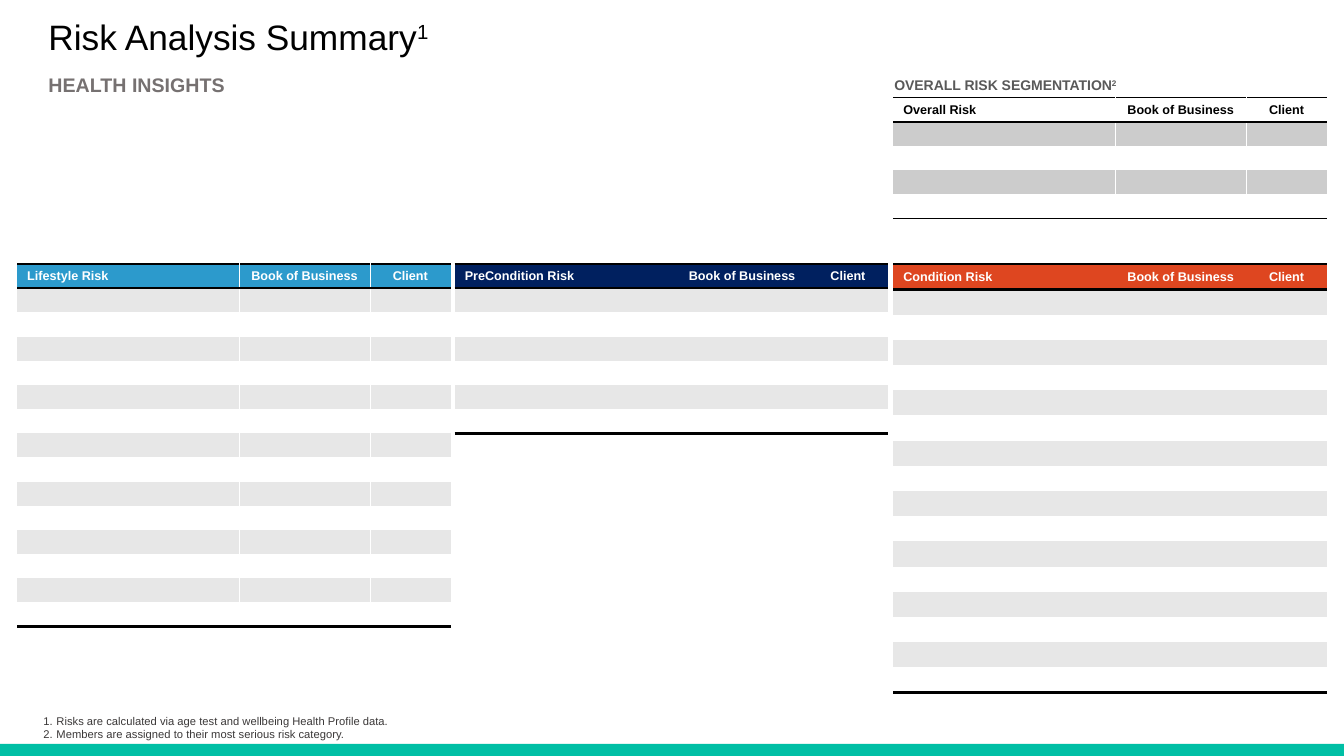
from dataclasses import dataclass
from typing import Any, Optional

from lxml import etree
from pptx import Presentation
from pptx.dml.color import RGBColor
from pptx.enum import shapes, text
from pptx.oxml.ns import qn
from pptx.util import Inches, Pt

COLS = (2.2, 1.3, 0.8)
HEADS = ("Book of Business", "Client")
PLAIN = "{2D5ABB26-0587-4C30-8999-92F81FD0307C}"
NOTES = (
    "Risks are calculated via age test and wellbeing Health Profile data.",
    "Members are assigned to their most serious risk category.",
)


@dataclass
class Grid:
    name: str
    left: float
    top: float
    rows: int
    step: float
    head: str
    ink: str = "FFFFFF"
    band: str = "E7E7E7"
    base: Optional[str] = "FFFFFF"
    rule: float = 2
    split: bool = False


GRIDS = (
    Grid("Lifestyle Risk", 0.17, 2.62, 15, 0.24, "2C9ACC", split=True),
    Grid("PreCondition Risk", 4.51, 2.62, 7, 0.24, "00205F"),
    Grid("Condition Risk", 8.86, 2.62, 17, 0.25, "DE4620"),
    Grid("Overall Risk", 8.86, 0.97, 5, 0.24, "FFFFFF", ink="000000",
         band="CCCCCC", base=None, rule=1, split=True),
)


def paint(fill: Any, color: Optional[str]) -> None:
    if color is None:
        fill.background()
    else:
        fill.solid()
        fill.fore_color.rgb = RGBColor.from_string(color)


def style(par: Any, size: float, color: str, bold: bool = False) -> None:
    for run in par.runs:
        run.font.name = "Arial"
        run.font.size = Pt(size)
        run.font.bold = bold
        run.font.color.rgb = RGBColor.from_string(color)


def place(shape: Any, left: float, top: float, width: float, height: float) -> None:
    shape.left, shape.top = Inches(left), Inches(top)
    shape.width, shape.height = Inches(width), Inches(height)


def raise_mark(par: Any, mark: str) -> None:
    """Add a superscript run."""
    run = par.add_run()
    run.text = mark
    run.font._element.set("baseline", "30000")


def edge(cell: Any, side: str, color: str, width: float) -> None:
    props = cell._tc.get_or_add_tcPr()
    line = etree.SubElement(props, qn(f"a:ln{side}"), w=str(Pt(width)))
    fill = etree.SubElement(line, qn("a:solidFill"))
    etree.SubElement(fill, qn("a:srgbClr"), val=color)


def draw_cell(cell: Any, grid: Grid, row: int, col: int) -> None:
    if grid.split and col > 0:
        edge(cell, "L", "FFFFFF", 0.5)
    if grid.split and col < len(COLS) - 1:
        edge(cell, "R", "FFFFFF", 0.5)
    if row == 0:
        edge(cell, "T", "000000", grid.rule)
    if row in (0, grid.rows - 1):
        edge(cell, "B", "000000", grid.rule)
    paint(cell.fill, grid.head if row == 0 else grid.band if row % 2 else grid.base)
    cell.margin_top = cell.margin_bottom = Inches(0.04)
    cell.vertical_anchor = text.MSO_ANCHOR.MIDDLE
    par = cell.text_frame.paragraphs[0]
    if row == 0:
        par.text = (grid.name, *HEADS)[col]
        par.alignment = text.PP_ALIGN.CENTER if col else text.PP_ALIGN.LEFT
        style(par, 9, grid.ink, True)
    else:
        etree.SubElement(par._p, qn("a:endParaRPr"), sz="900")


def draw_grid(slide: Any, grid: Grid) -> None:
    frame = slide.shapes.add_table(
        grid.rows, len(COLS), Inches(grid.left), Inches(grid.top),
        Inches(sum(COLS)), Inches(grid.rows * grid.step))
    table = frame.table
    table.horz_banding = table.first_row = False
    table._tbl.tblPr.find(qn("a:tableStyleId")).text = PLAIN
    for col, width in enumerate(COLS):
        table.columns[col].width = Inches(width)
    for row in range(grid.rows):
        table.rows[row].height = Inches(grid.step)
        for col in range(len(COLS)):
            draw_cell(table.cell(row, col), grid, row, col)


def draw_heads(slide: Any) -> None:
    title, body = slide.shapes.title, slide.placeholders[1]
    place(title, 0.38, 0.18, 12.58, 0.41)
    place(body, 0.38, 0.7, 4.36, 0.28)
    title.text_frame.text = "Risk Analysis Summary"
    body.text_frame.text = "HEALTH INSIGHTS"
    for shape in (title, body):
        shape.text_frame.auto_size = text.MSO_AUTO_SIZE.NONE
        par = shape.text_frame.paragraphs[0]
        par.alignment = text.PP_ALIGN.LEFT
        par.line_spacing = 0.9
    title.text_frame.vertical_anchor = text.MSO_ANCHOR.MIDDLE
    head = title.text_frame.paragraphs[0]
    raise_mark(head, "1")
    style(head, 25.2, "000000")
    par = body.text_frame.paragraphs[0]
    par.space_before = Pt(10)
    props = par._p.get_or_add_pPr()
    props.set("marL", "0")
    props.set("indent", "0")
    etree.SubElement(props, qn("a:buNone"))
    style(par, 14, "767171", True)


def add_box(slide: Any, left: float, top: float, width: float, height: float) -> Any:
    box = slide.shapes.add_textbox(0, 0, 0, 0)
    place(box, left, top, width, height)
    box.text_frame.word_wrap = True
    return box.text_frame


def draw_label(slide: Any) -> None:
    frame = add_box(slide, 8.86, 0.71, 2.97, 0.27)
    frame.margin_left = frame.margin_right = 0
    frame.text = "OVERALL RISK SEGMENTATION"
    par = frame.paragraphs[0]
    par._p.get_or_add_pPr().set("marL", str(Inches(0.01)))
    raise_mark(par, "2")
    style(par, 10, "595959", True)


def draw_notes(slide: Any) -> None:
    frame = add_box(slide, 0.37, 7.08, 7.25, 0.28)
    frame.margin_left = frame.margin_right = Inches(0.06)
    frame.margin_top = frame.margin_bottom = Inches(0.06)
    frame.vertical_anchor = text.MSO_ANCHOR.MIDDLE
    frame.text = "\n".join(NOTES)
    for par in frame.paragraphs:
        props = par._p.get_or_add_pPr()
        props.set("marL", str(Inches(0.13)))
        props.set("indent", str(Inches(-0.13)))
        etree.SubElement(props, qn("a:buFont"), typeface="+mj-lt")
        etree.SubElement(props, qn("a:buAutoNum"), type="arabicPeriod")
        style(par, 8, "3B3838")


def main() -> None:
    deck = Presentation()
    deck.slide_width, deck.slide_height = Inches(13.33), Inches(7.5)
    slide = deck.slides.add_slide(deck.slide_layouts[1])
    bar = slide.shapes.add_shape(shapes.MSO_SHAPE.RECTANGLE, 0, 0, 0, 0)
    place(bar, 0, 7.38, 13.33, 0.12)
    bar.shadow.inherit = False
    paint(bar.fill, "00BFA5")
    bar.line.fill.background()
    draw_heads(slide)
    for grid in GRIDS:
        draw_grid(slide, grid)
    draw_label(slide)
    draw_notes(slide)
    deck.save("out.pptx")


if __name__ == "__main__":
    main()
